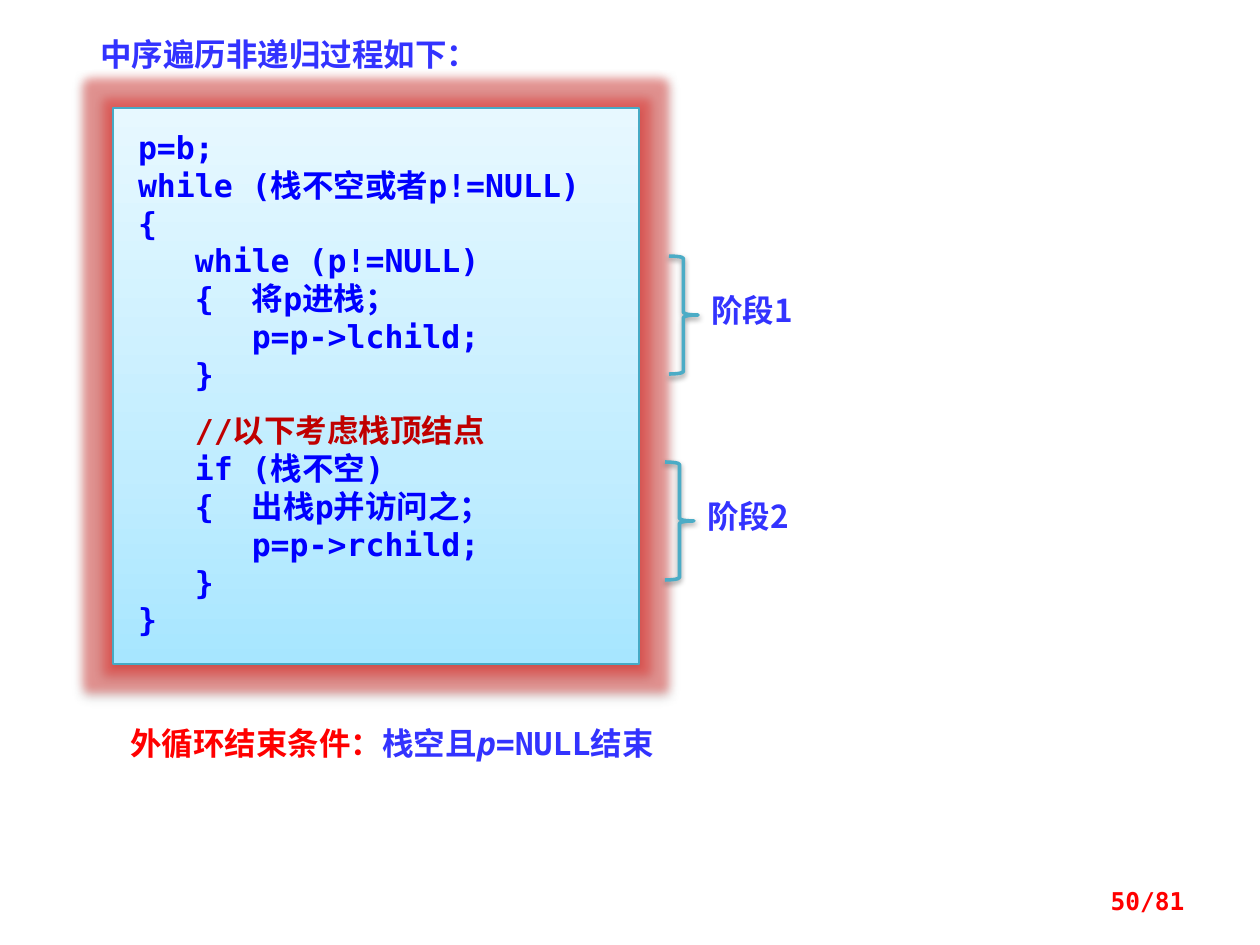
from lxml.etree import SubElement
from pptx import Presentation
from pptx.dml.color import RGBColor
from pptx.enum.shapes import MSO_SHAPE as Shape
from pptx.enum.text import MSO_ANCHOR as Anchor, PP_ALIGN as Align
from pptx.oxml.ns import qn
from pptx.util import Emu, Pt

MONO, SANS, SERIF = "DejaVu Sans Mono", "Noto Sans CJK SC", "Times New Roman"
VIOLET = RGBColor(0x33, 0x33, 0xFF)
BLUE = RGBColor(0x00, 0x00, 0xFF)
RED = RGBColor(0xFF, 0x00, 0x00)
CRIMSON = RGBColor(0xC0, 0x00, 0x00)
GLOW = RGBColor(0xC0, 0x50, 0x4D)
BLACK = RGBColor(0x00, 0x00, 0x00)
TEAL = RGBColor(0x46, 0xAA, 0xC5)
AQUA = RGBColor(0x4B, 0xAC, 0xC6)
GRADIENT = [
    (0, RGBColor(0xA7, 0xE6, 0xFF)),
    (35, RGBColor(0xC1, 0xED, 0xFF)),
    (100, RGBColor(0xE7, 0xF8, 0xFF)),
]
CODE = """p=b;
while (栈不空或者p!=NULL)
{
   while (p!=NULL)
   {  将p进栈；
      p=p->lchild;
   }
   //以下考虑栈顶结点
   if (栈不空)
   {  出栈p并访问之；
      p=p->rchild;
   }
}"""


def px(count):
    """Turn pixels into EMU."""
    return Emu(round(count * 914400 / 126))


def add_span(para, text, font=MONO, size=18, color=VIOLET, bold=True, italic=False):
    """Add one formatted run to a paragraph."""
    span = para.add_run()
    span.text = text
    face = span.font
    face.name, face.size, face.bold, face.italic = font, Pt(size), bold, italic
    face.color.rgb = color
    SubElement(span._r.get_or_add_rPr(), qn("a:ea"), typeface=SANS)


def add_label(shapes, left, top, width, spans, align=Align.LEFT, anchor=Anchor.TOP):
    """Add a one-line text box made of (text, format) spans."""
    box = shapes.add_textbox(px(left), px(top), px(width), px(50))
    frame = box.text_frame
    frame.word_wrap = True
    frame.vertical_anchor = anchor
    para = frame.paragraphs[0]
    para.alignment = align
    for text, style in spans:
        add_span(para, text, **style)


def add_color(parent, color, **changes):
    """Add an RGB colour element with its modifiers, in percent."""
    node = SubElement(parent, qn("a:srgbClr"), val=str(color))
    for name, percent in changes.items():
        SubElement(node, qn(f"a:{name}"), val=str(percent * 1000))


def add_effects(shape, glow=False):
    """Give a shape a soft drop shadow and optionally a red glow."""
    shape.shadow.inherit = False
    effects = shape._element.spPr.find(qn("a:effectLst"))
    if glow:
        halo = SubElement(effects, qn("a:glow"), rad=str(Pt(11)))
        add_color(halo, GLOW, satMod=175, alpha=40)
    shadow = SubElement(effects, qn("a:outerShdw"), blurRad="40000", dist="20000",
                        dir="5400000", rotWithShape="0")
    add_color(shadow, BLACK, alpha=38)


def fill_gradient(shape):
    """Fill a shape with the gradient, running from bottom to top."""
    shape.fill.gradient()
    shape.fill.gradient_angle = 90
    stops = shape._element.spPr.find(qn("a:gradFill")).find(qn("a:gsLst"))
    stops.clear()
    for percent, color in GRADIENT:
        add_color(SubElement(stops, qn("a:gs"), pos=str(percent * 1000)), color)


def add_code(shapes):
    """Add the glowing code panel."""
    panel = shapes.add_shape(Shape.RECTANGLE, px(113), px(108), px(526), px(556))
    fill_gradient(panel)
    panel.line.color.rgb, panel.line.width = TEAL, Pt(0.75)
    add_effects(panel, glow=True)
    frame = panel.text_frame
    frame.word_wrap = True
    frame.vertical_anchor = Anchor.TOP
    frame.margin_left = px(25)
    frame.margin_top = frame.margin_bottom = px(20)
    for index, line in enumerate(CODE.split("\n")):
        para = frame.add_paragraph() if index else frame.paragraphs[0]
        para.alignment = Align.LEFT
        comment = line.strip().startswith("//")
        if comment:
            para.line_spacing = 1.5
        add_span(para, line, color=CRIMSON if comment else BLUE)


def add_stage(page, left, top, text):
    """Add a grouped brace and its stage label."""
    shapes = page.shapes.add_group_shape().shapes
    brace = shapes.add_shape(Shape.RIGHT_BRACE, px(left), px(top), px(29), px(118))
    brace.fill.background()
    brace.line.color.rgb, brace.line.width = AQUA, Pt(2)
    add_effects(brace)
    add_label(shapes, left + 30, top + 29, 158, [(text, {"font": SANS})])


def main():
    """Build and save the slide."""
    deck = Presentation()
    deck.slide_width, deck.slide_height = px(1260), px(945)
    page = deck.slides.add_slide(deck.slide_layouts[6])
    add_label(page.shapes, 88, 29, 581,
              [("中序遍历非递归", {"font": SERIF}), ("过程如下：", {"font": SANS})])
    add_code(page.shapes)
    add_label(page.shapes, 118, 718, 640,
              [("外循环结束条件：", {"color": RED}), ("栈空且", {}),
               ("p", {"italic": True}), ("=NULL结束", {})])
    add_stage(page, 669, 256, "阶段1")
    add_stage(page, 665, 462, "阶段2")
    add_label(page.shapes, 903, 876, 294, [("50/81", {"size": 14, "color": RED})],
              align=Align.RIGHT, anchor=Anchor.MIDDLE)
    deck.save("out.pptx")


if __name__ == "__main__":
    main()
